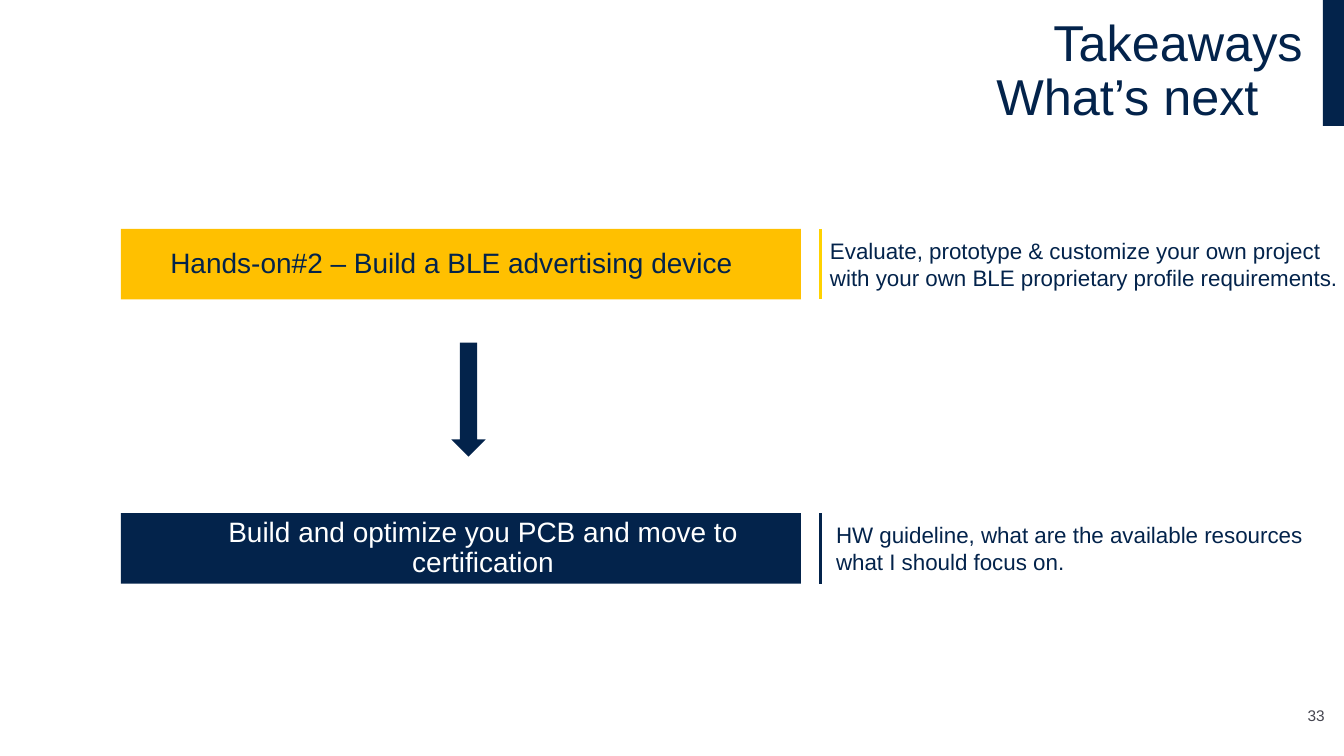
from pptx import Presentation
from pptx.dml.color import RGBColor
from pptx.enum import shapes, text
from pptx.util import Inches, Pt
from lxml import etree

COLORS = {"navy": "03234B", "amber": "FFC000", "yellow": "FFD200",
          "white": "FFFFFF", "grey": "464650"}
SLIDE_WIDTH = 13.34
BAR_LEFT, BAR_WIDTH, BAR_HEIGHT = 1.2, 6.75, 0.7
RULE_LEFT = 8.14
LEFT, CENTER, RIGHT = text.PP_ALIGN.LEFT, text.PP_ALIGN.CENTER, text.PP_ALIGN.RIGHT
MIDDLE, BOTTOM = text.MSO_ANCHOR.MIDDLE, text.MSO_ANCHOR.BOTTOM

STEPS = [
    {"top": 2.27, "title": "Hands-on#2 – Build a BLE advertising device",
     "note": "Evaluate, prototype & customize your own project with your own "
             "BLE proprietary profile requirements.",
     "fill": "amber", "font": "navy", "rule": "yellow",
     "align": LEFT, "note_left": 8.14},
    {"top": 5.09, "title": "Build and optimize you PCB and move to certification",
     "note": "HW guideline, what are the available resources what I should focus on.",
     "fill": "navy", "font": "white", "rule": "navy",
     "align": CENTER, "note_left": 8.2},
]


def rgb(name):
    return RGBColor.from_string(COLORS[name])


def format_frame(frame, margins, anchor=MIDDLE):
    """Set the left, top, right and bottom margins, wrapping and anchor."""
    left, top, right, bottom = map(Inches, margins)
    settings = {"margin_left": left, "margin_top": top, "margin_right": right,
                "margin_bottom": bottom, "word_wrap": True,
                "vertical_anchor": anchor, "auto_size": text.MSO_AUTO_SIZE.NONE}
    for name, value in settings.items():
        setattr(frame, name, value)


def write(paragraph, words, size, color, align=LEFT, spacing=1.0):
    paragraph.text = words
    settings = {"alignment": align, "line_spacing": spacing,
                "space_before": Pt(0), "space_after": Pt(0)}
    for name, value in settings.items():
        setattr(paragraph, name, value)
    for name, value in {"name": "Arial", "size": Pt(size), "bold": False}.items():
        setattr(paragraph.font, name, value)
    paragraph.font.color.rgb = rgb(color)


def add_block(slide, kind, left, top, width, height, fill):
    shape = slide.shapes.add_shape(kind, Inches(left), Inches(top),
                                   Inches(width), Inches(height))
    shape.shadow.inherit = False
    shape.fill.solid()
    shape.fill.fore_color.rgb = rgb(fill)
    shape.line.fill.background()
    return shape


def add_label(slide, left, top, width, height, margins, anchor, *style):
    """Add a one-paragraph text box; style goes on to write()."""
    box = slide.shapes.add_textbox(Inches(left), Inches(top),
                                   Inches(width), Inches(height))
    format_frame(box.text_frame, margins, anchor)
    write(box.text_frame.paragraphs[0], *style)


def add_rule(slide, top, color):
    x = Inches(RULE_LEFT)
    rule = slide.shapes.add_connector(shapes.MSO_CONNECTOR.STRAIGHT, x, Inches(top),
                                      x, Inches(top + BAR_HEIGHT))
    rule.line.color.rgb = rgb(color)
    rule.line.width = Pt(2.25)
    properties = rule._element.spPr
    etree.SubElement(properties, "{%s}effectLst" % properties.nsmap["a"])


def add_step(slide, step):
    """Add a bar with its rule and explanatory note."""
    top = step["top"]
    bar = add_block(slide, shapes.MSO_SHAPE.RECTANGLE, BAR_LEFT, top,
                    BAR_WIDTH, BAR_HEIGHT, step["fill"])
    format_frame(bar.text_frame, (0.49, 0.05, 0.05, 0.05))
    write(bar.text_frame.paragraphs[0], step["title"], 20, step["font"],
          step["align"], 0.9)
    add_rule(slide, top, step["rule"])
    add_label(slide, step["note_left"], top, SLIDE_WIDTH - step["note_left"],
              BAR_HEIGHT, (0.1, 0.05, 0, 0.05), MIDDLE, step["note"], 16, "navy")


def set_title(slide):
    title = slide.shapes.title
    place = {"left": 0.33, "top": 0, "width": 12.7, "height": 1.43}
    for name, value in place.items():
        setattr(title, name, Inches(value))
    frame = title.text_frame
    format_frame(frame, (0.1, 0.05, 0.1, 0.05))
    write(frame.paragraphs[0], "Takeaways", 36, "navy", RIGHT, 0.9)
    second = frame.add_paragraph()
    write(second, "What’s next", 36, "navy", LEFT, 0.9)
    second._p.get_or_add_pPr().set("marL", str(Inches(9.46)))


def main():
    presentation = Presentation()
    presentation.slide_width = Inches(SLIDE_WIDTH)
    presentation.slide_height = Inches(7.5)
    slide = presentation.slides.add_slide(presentation.slide_layouts[5])
    add_block(slide, shapes.MSO_SHAPE.RECTANGLE, 13.13, 0, 0.21, 1.25, "navy")
    set_title(slide)
    for step in STEPS:
        add_step(slide, step)
    add_block(slide, shapes.MSO_SHAPE.DOWN_ARROW, 4.48, 3.4, 0.34, 1.13, "navy")
    add_label(slide, 12.7, 6.92, 0.45, 0.32, (0, 0.05, 0, 0.05), BOTTOM,
              "33", 11, "grey", RIGHT)
    presentation.save("out.pptx")


if __name__ == "__main__":
    main()
